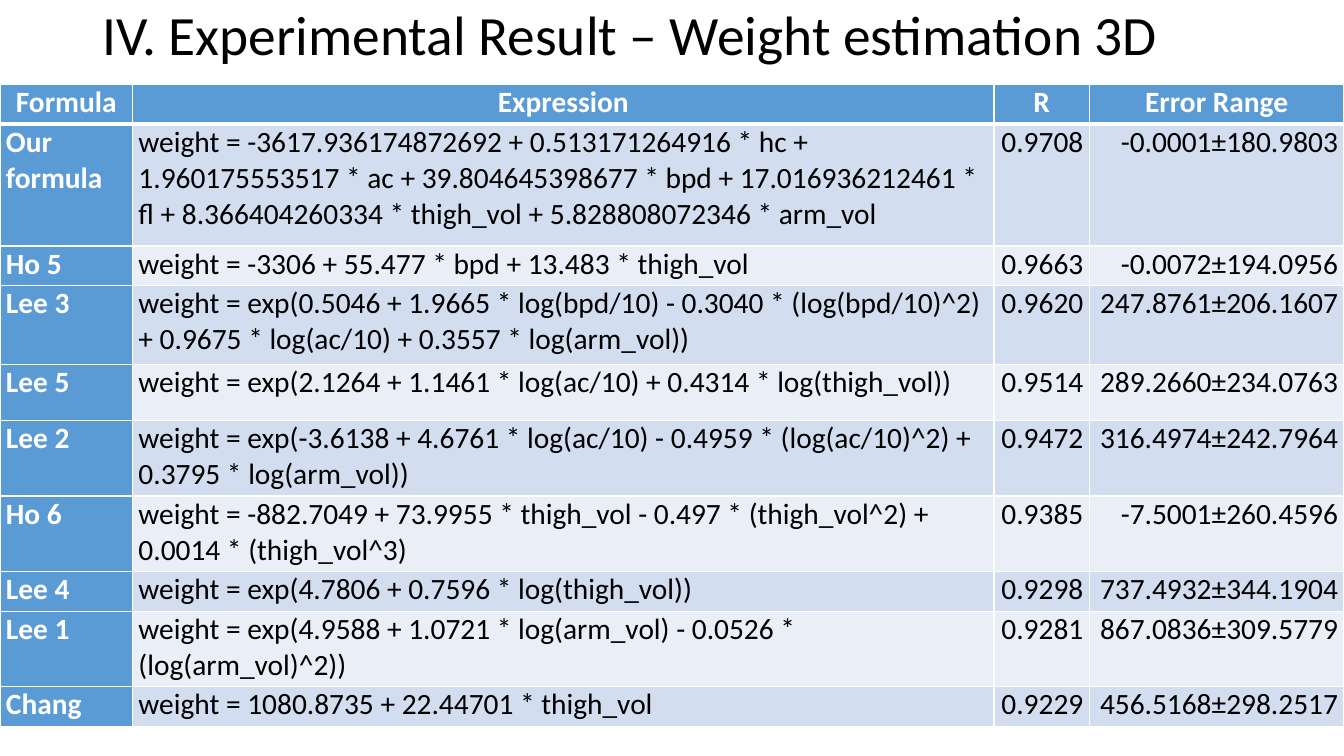
import lxml.etree
import pptx
import pptx.dml.color
import pptx.enum.text
import pptx.oxml.ns
import pptx.util

Cm = pptx.util.Cm
Pt = pptx.util.Pt
ALIGN = pptx.enum.text.PP_ALIGN

TITLE = "IV. Experimental Result – Weight estimation 3D"
HEADER = ("Formula", "Expression", "R", "Error Range")
RESULTS = [
    ("Our formula",
     "weight = -3617.936174872692 + 0.513171264916 * hc + 1.960175553517 * ac"
     " + 39.804645398677 * bpd + 17.016936212461 * fl"
     " + 8.366404260334 * thigh_vol + 5.828808072346 * arm_vol",
     "0.9708", "-0.0001±180.9803"),
    ("Ho 5", "weight = -3306 + 55.477 * bpd + 13.483 * thigh_vol",
     "0.9663", "-0.0072±194.0956"),
    ("Lee 3",
     "weight = exp(0.5046 + 1.9665 * log(bpd/10) - 0.3040 * (log(bpd/10)^2)"
     " + 0.9675 * log(ac/10) + 0.3557 * log(arm_vol))",
     "0.9620", "247.8761±206.1607"),
    ("Lee 5", "weight = exp(2.1264 + 1.1461 * log(ac/10) + 0.4314 * log(thigh_vol))",
     "0.9514", "289.2660±234.0763"),
    ("Lee 2",
     "weight = exp(-3.6138 + 4.6761 * log(ac/10) - 0.4959 * (log(ac/10)^2)"
     " + 0.3795 * log(arm_vol))",
     "0.9472", "316.4974±242.7964"),
    ("Ho 6",
     "weight = -882.7049 + 73.9955 * thigh_vol - 0.497 * (thigh_vol^2)"
     " + 0.0014 * (thigh_vol^3)",
     "0.9385", "-7.5001±260.4596"),
    ("Lee 4", "weight = exp(4.7806 + 0.7596 * log(thigh_vol))",
     "0.9298", "737.4932±344.1904"),
    ("Lee 1", "weight = exp(4.9588 + 1.0721 * log(arm_vol) - 0.0526 * (log(arm_vol)^2))",
     "0.9281", "867.0836±309.5779"),
    ("Chang", "weight = 1080.8735 + 22.44701 * thigh_vol",
     "0.9229", "456.5168±298.2517"),
]
COLUMN_WIDTHS = (3.34, 21.71, 2.4, 6.42)
ROW_HEIGHTS = (1, 3.07, 1, 1.98, 1.42, 1.9, 1.9, 1, 1.9, 1)
COLUMN_ALIGNMENTS = (ALIGN.JUSTIFY, ALIGN.LEFT, ALIGN.RIGHT, ALIGN.RIGHT)

FONT = "Calibri"
WHITE, BLACK, BLUE = "FFFFFF", "000000", "5B9BD5"
BANDS = ("EAEFF7", "D2DEEF")


def color(value):
    return pptx.dml.color.RGBColor.from_string(value)


def format_text(paragraph, size, text_color, bold, alignment):
    paragraph.font.name = FONT
    paragraph.font.size = Pt(size)
    paragraph.font.color.rgb = color(text_color)
    paragraph.font.bold = bold
    paragraph.alignment = alignment


def add_borders(cell, widths):
    properties = cell._tc.get_or_add_tcPr()
    for side, width in widths.items():
        line = lxml.etree.SubElement(
            properties, pptx.oxml.ns.qn("a:ln" + side), w=str(Pt(width)))
        fill = lxml.etree.SubElement(line, pptx.oxml.ns.qn("a:solidFill"))
        lxml.etree.SubElement(fill, pptx.oxml.ns.qn("a:srgbClr"), val=WHITE)


def format_cell(cell, text, row, column):
    header = row == 0
    label = header or column == 0
    cell.text = text
    cell.margin_left = cell.margin_right = Cm(0.15)
    cell.margin_top = cell.margin_bottom = 0
    format_text(cell.text_frame.paragraphs[0], 21, WHITE if label else BLACK, label,
                ALIGN.CENTER if header else COLUMN_ALIGNMENTS[column])
    add_borders(cell, {"L": 1, "R": 1, "T": 3 if row == 1 else 1, "B": 3 if header else 1})
    cell.fill.solid()
    cell.fill.fore_color.rgb = color(BLUE if label else BANDS[row % 2])


def add_title(slide):
    title = slide.shapes.title
    title.left, title.top, title.width, title.height = Cm(2.33), Cm(0.15), Cm(29.21), Cm(1.6)
    frame = title.text_frame
    frame.text = TITLE
    frame.word_wrap = True
    frame.auto_size = pptx.enum.text.MSO_AUTO_SIZE.NONE
    frame.vertical_anchor = pptx.enum.text.MSO_ANCHOR.MIDDLE
    paragraph = frame.paragraphs[0]
    paragraph.line_spacing = 0.9
    format_text(paragraph, 39.6, BLACK, False, ALIGN.LEFT)


def add_results(slide):
    rows = [HEADER] + RESULTS
    table = slide.shapes.add_table(
        len(rows), len(HEADER), 0, Cm(2.13),
        Cm(sum(COLUMN_WIDTHS)), Cm(sum(ROW_HEIGHTS))).table
    for column, width in zip(table.columns, COLUMN_WIDTHS):
        column.width = Cm(width)
    for row, height in zip(table.rows, ROW_HEIGHTS):
        row.height = Cm(height)
    for row, texts in enumerate(rows):
        for column, text in enumerate(texts):
            format_cell(table.cell(row, column), text, row, column)


def main():
    presentation = pptx.Presentation()
    presentation.slide_width = Cm(33.87)
    presentation.slide_height = Cm(19.05)
    slide = presentation.slides.add_slide(presentation.slide_layouts[5])
    add_title(slide)
    add_results(slide)
    presentation.save("out.pptx")


if __name__ == "__main__":
    main()
